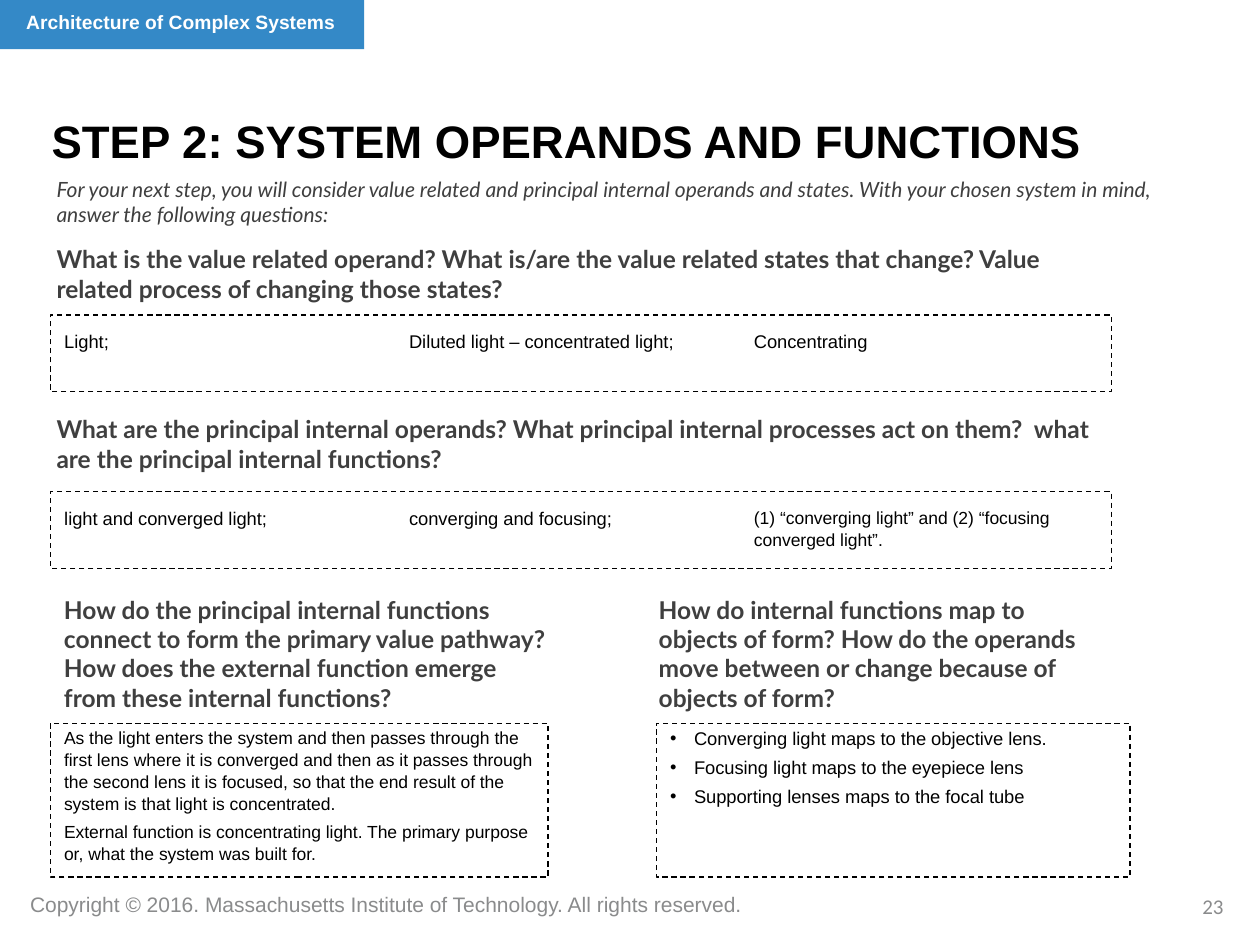
from lxml import etree
from pptx import Presentation
from pptx import util as u
from pptx.dml.color import RGBColor
from pptx.enum import dml, shapes, text
from pptx.oxml.ns import qn

COLUMNS, ROWS = 100, 75
BLACK, WHITE, BLUE, INK, GREY = "000000", "FFFFFF", "3489C7", "3F3F3F", "8A8B8C"


def colour(hex_value):
    return RGBColor.from_string(hex_value)


class Sheet:
    def __init__(self, deck):
        self.deck = deck
        self.slide = deck.slides.add_slide(deck.slide_layouts[5])

    def area(self, column, row, width, height):
        across = self.deck.slide_width / COLUMNS
        down = self.deck.slide_height / ROWS
        return [u.Emu(round(n)) for n in
                (column * across, row * down, width * across, height * down)]

    def set_words(self, shape, words, size, ink, font="Arial", bold=False, italic=False,
                  align=text.PP_ALIGN.LEFT, anchor=text.MSO_ANCHOR.TOP,
                  insets=(0.1, 0.05, 0.1, 0.05), spacing=1, before=0, bullet=None):
        frame = shape.text_frame
        frame.text = words
        frame.word_wrap = True
        frame.auto_size = text.MSO_AUTO_SIZE.NONE
        frame.vertical_anchor = anchor
        (frame.margin_left, frame.margin_top,
         frame.margin_right, frame.margin_bottom) = map(u.Inches, insets)
        for index, paragraph in enumerate(frame.paragraphs):
            paragraph.alignment = align
            paragraph.line_spacing = spacing
            paragraph.space_before = u.Pt(before if index else 0)
            if bullet:
                self.bullet(paragraph, bullet)
            for run in paragraph.runs:
                run.font.name, run.font.size = font, u.Pt(size)
                run.font.bold, run.font.italic = bold, italic
                run.font.color.rgb = colour(ink)

    def bullet(self, paragraph, mark):
        properties = paragraph._p.get_or_add_pPr()
        indent = u.Inches(0.19)
        properties.set("marL", str(indent))
        properties.set("indent", str(-indent))
        etree.SubElement(properties, qn("a:buFont")).set("typeface", "Arial")
        etree.SubElement(properties, qn("a:buChar")).set("char", mark)

    def title(self, area, words):
        heading = self.slide.shapes.title
        heading.left, heading.top, heading.width, heading.height = self.area(*area)
        heading.fill.solid()
        heading.fill.fore_color.rgb = colour(WHITE)
        self.set_words(heading, words, 26, BLACK, bold=True, anchor=text.MSO_ANCHOR.MIDDLE)

    def label(self, area, words, size, ink, **style):
        box = self.slide.shapes.add_textbox(*self.area(*area))
        self.set_words(box, words, size, ink, **style)

    def question(self, area, words):
        self.label(area, words, 14, INK, font="Lato", bold=True)

    def rectangle(self, area):
        box = self.slide.shapes.add_shape(shapes.MSO_SHAPE.RECTANGLE, *self.area(*area))
        box.shadow.inherit = False
        return box

    def band(self, area, fill):
        box = self.rectangle(area)
        box.fill.solid()
        box.fill.fore_color.rgb = colour(fill)
        box.line.fill.background()

    def frame(self, area):
        box = self.rectangle(area)
        box.fill.background()
        box.line.color.rgb = colour(BLACK)
        box.line.width = u.Pt(0.75)
        box.line.dash_style = dml.MSO_LINE.DASH

    def answers(self, row, entries):
        self.frame((4, row, 84.2, 6.1))
        pitch = 82.1 / len(entries)
        for index, (words, size) in enumerate(entries):
            self.label((5.1 + index * pitch, row + 0.15, pitch, 6), words, size, BLACK,
                       insets=(0, 0.1, 0, 0.1), spacing=1.05)

    def explanation(self, column, width, words, size, bullet=None):
        self.frame((column, 57.4, width, 12.2))
        self.label((column + 0.1, 57.6, width, 12), words, size, BLACK,
                   insets=(0.1, 0, 0, 0), spacing=1.05, before=3.6, bullet=bullet)


def main():
    deck = Presentation()
    deck.slide_width, deck.slide_height = u.Inches(10), u.Inches(7.5)
    sheet = Sheet(deck)

    sheet.band((0, 0, 28.9, 3.9), BLUE)
    sheet.label((1.1, 0.3, 27.9, 3.6), "Architecture of Complex Systems", 11, WHITE, bold=True)
    sheet.title((3.1, 8.2, 85.1, 5.8), "STEP 2: SYSTEM OPERANDS AND FUNCTIONS")
    sheet.label((3.5, 13.5, 92.1, 5.5),
                "For your next step, you will consider value related and principal internal "
                "operands and states. With your chosen system in mind, answer the following "
                "questions:", 12, INK, font="Lato", italic=True)

    sheet.question((3.5, 18.9, 86.2, 6),
                   "What is the value related operand? What is/are the value related states "
                   "that change? Value related process of changing those states?")
    sheet.answers(25, [("Light;", 10.5),
                       ("Diluted light – concentrated light;", 10.5),
                       ("Concentrating", 10.5)])

    sheet.question((3.5, 32.4, 85.1, 6),
                   "What are the principal internal operands? What principal internal processes "
                   "act on them?  what are the principal internal functions?")
    sheet.answers(39, [("light and converged light;", 10.5),
                       ("converging and focusing;", 10.5),
                       ("(1) “converging light” and (2) “focusing converged light”.", 10)])

    sheet.question((4.1, 46.7, 40.4, 10.4),
                   "How do the principal internal functions connect to form the primary value "
                   "pathway? How does the external function emerge from these internal functions?")
    sheet.explanation(4, 39.5,
                      "As the light enters the system and then passes through the first lens "
                      "where it is converged and then as it passes through the second lens it is "
                      "focused, so that the end result of the system is that light is "
                      "concentrated.\nExternal function is concentrating light. The primary "
                      "purpose or, what the system was built for.", 10)

    sheet.question((51.3, 46.7, 37.6, 10.4),
                   "How do internal functions map to objects of form? How do the operands move "
                   "between or change because of objects of form?")
    sheet.explanation(52.1, 37.6,
                      "Converging light maps to the objective lens.\n"
                      "Focusing light maps to the eyepiece lens\n"
                      "Supporting lenses maps to the focal tube", 10.5, bullet="•")

    sheet.label((1.4, 70.3, 62, 3),
                "Copyright © 2016. Massachusetts Institute of Technology. All rights reserved.",
                12, GREY)
    sheet.label((74.8, 70.4, 23.3, 4), "23", 12, GREY, font="Calibri",
                align=text.PP_ALIGN.RIGHT)
    deck.save("out.pptx")


if __name__ == "__main__":
    main()
